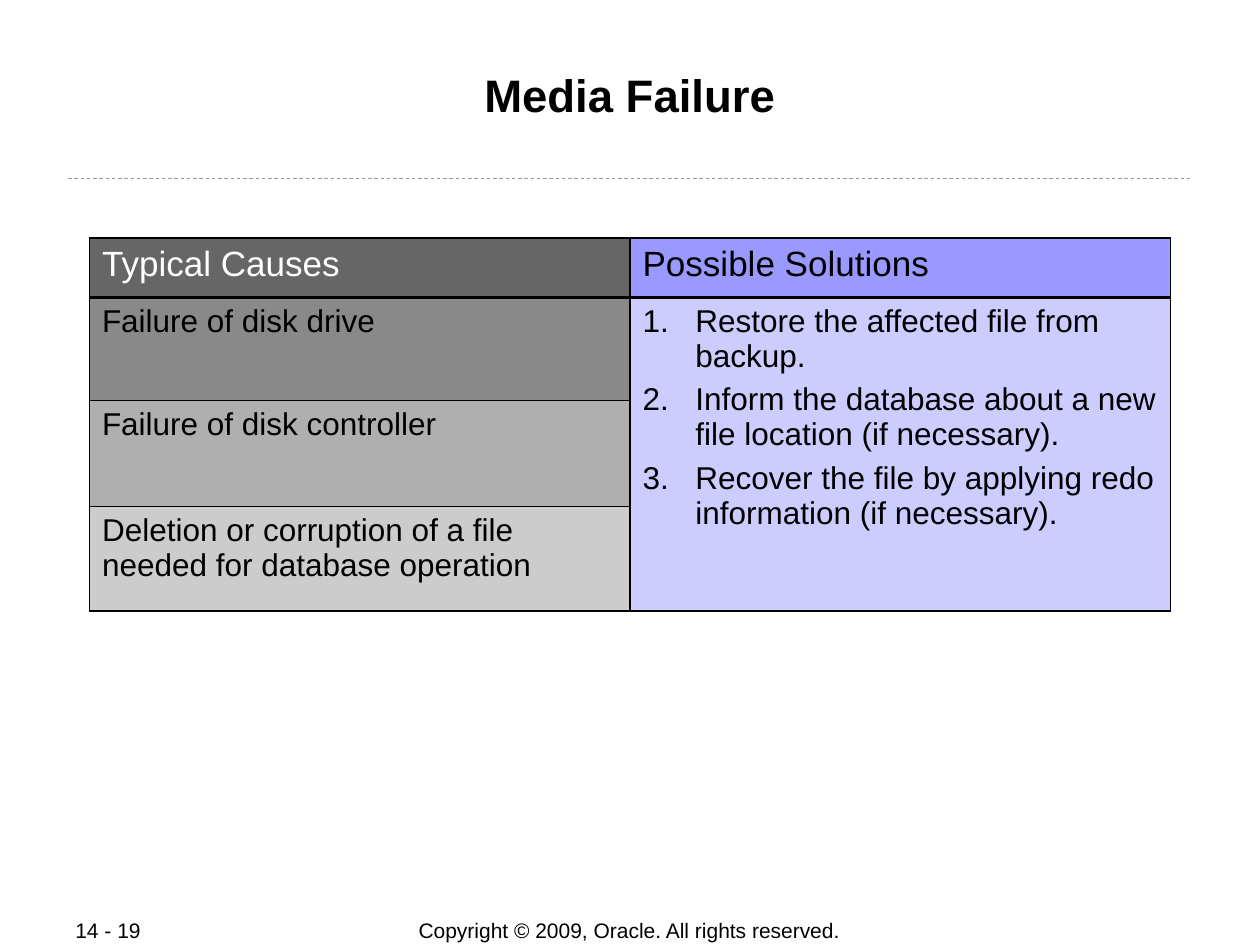
from lxml.etree import SubElement, Element
from pptx import Presentation
from pptx.dml.color import RGBColor
from pptx.enum.dml import MSO_LINE_DASH_STYLE as Dash
from pptx.enum.shapes import MSO_CONNECTOR as Connector
from pptx.enum.text import MSO_ANCHOR as Anchor, PP_ALIGN as Align
from pptx.oxml.ns import qn
from pptx.util import Pt

BLACK, WHITE, GREY = "000000", "FFFFFF", "999999"
THIN, THICK = 1.08, 2.21


def color(value):
    return RGBColor.from_string(value)


class SlideBuilder:
    font_name = "Arial"

    def __init__(self, slide):
        self.slide = slide

    def style(self, paragraph, size, fill=BLACK, bold=False):
        font = paragraph.font
        font.name, font.size, font.bold = self.font_name, Pt(size), bold
        font.color.rgb = color(fill)

    def text(self, box, content, size, align, bold=False, anchor=Anchor.MIDDLE, insets=(7.2, 0)):
        frame = self.slide.shapes.add_textbox(*map(Pt, box)).text_frame
        frame.word_wrap = True
        frame.vertical_anchor = anchor
        frame.margin_left = frame.margin_right = Pt(insets[0])
        frame.margin_top = frame.margin_bottom = Pt(insets[1])
        paragraph = frame.paragraphs[0]
        paragraph.text, paragraph.alignment = content, align
        self.style(paragraph, size, bold=bold)

    def dashed_rule(self, left, right, y):
        rule = self.slide.shapes.add_connector(
            Connector.STRAIGHT, Pt(left), Pt(y), Pt(right), Pt(y))
        rule.line.color.rgb = color(GREY)
        rule.line.width = Pt(0.5)
        rule.line.dash_style = Dash.DASH
        SubElement(rule._element.spPr, qn("a:effectLst"))

    def table(self, left, top, widths, heights):
        frame = self.slide.shapes.add_table(
            len(heights), len(widths), Pt(left), Pt(top), Pt(sum(widths)), Pt(sum(heights)))
        table = frame.table
        for column, width in zip(table.columns, widths):
            column.width = Pt(width)
        for row, height in zip(table.rows, heights):
            row.height = Pt(height)
        return table

    def borders(self, cell, top=THIN, bottom=THIN):
        sides = {"L": THIN, "R": THIN, "T": top, "B": bottom}
        properties = cell._tc.get_or_add_tcPr()
        for index, (side, width) in enumerate(sides.items()):
            line = Element(qn(f"a:ln{side}"), w=str(int(Pt(width))))
            fill = SubElement(line, qn("a:solidFill"))
            SubElement(fill, qn("a:srgbClr"), val=BLACK)
            properties.insert(index, line)

    def cell(self, cell, lines, size, fill, text_color=BLACK, hanging=0):
        cell.fill.solid()
        cell.fill.fore_color.rgb = color(fill)
        frame = cell.text_frame
        frame.text = "\n".join(lines)
        for index, paragraph in enumerate(frame.paragraphs):
            if hanging:
                properties = paragraph._p.get_or_add_pPr()
                properties.set("marL", str(int(Pt(hanging))))
                properties.set("indent", str(-int(Pt(hanging))))
            if index:
                paragraph.space_before = Pt(4.5)
            self.style(paragraph, size, text_color)


def main():
    presentation = Presentation()
    presentation.slide_width, presentation.slide_height = Pt(720), Pt(540)
    slide = presentation.slides.add_slide(presentation.slide_layouts[6])
    builder = SlideBuilder(slide)

    # Footer and rule
    builder.text((198, 524.2, 323.3, 15.1), "Copyright © 2009, Oracle. All rights reserved.",
                 12, Align.CENTER)
    builder.dashed_rule(38.9, 681.1, 102.2)
    builder.text((36, 524.2, 76.3, 14.4), "14 - 19", 12, Align.LEFT)

    # Title
    builder.text((48.2, 34.6, 623.5, 69.1), "Media Failure", 26, Align.CENTER,
                 bold=True, anchor=Anchor.TOP, insets=(0.7, 3.5))

    # Table frame and borders
    heights = [33.8, 59, 60.5, 59.8]
    table = builder.table(51.1, 136.1, [308.9, 308.9], heights)
    table.cell(1, 1).merge(table.cell(3, 1))
    for row in range(len(heights)):
        for column in range(2):
            builder.borders(table.cell(row, column),
                            top=THICK if row == 1 else THIN,
                            bottom=THICK if row == 0 else THIN)

    # Headings
    builder.cell(table.cell(0, 0), ["Typical Causes"], 20, "666666", WHITE)
    builder.cell(table.cell(0, 1), ["Possible Solutions"], 20, "9999FF")

    # Causes
    causes = [
        ("Failure of disk drive", "898989"),
        ("Failure of disk controller", "AFAFAF"),
        ("Deletion or corruption of a file needed for database operation", "CCCCCC"),
    ]
    for row, (cause, fill) in enumerate(causes, 1):
        builder.cell(table.cell(row, 0), [cause], 18, fill)

    # Numbered solutions
    solutions = [
        "Restore the affected file from backup.",
        "Inform the database about a new file location (if necessary).",
        "Recover the file by applying redo information (if necessary).",
    ]
    numbered = [f"{number}.\t{solution}" for number, solution in enumerate(solutions, 1)]
    builder.cell(table.cell(1, 1), numbered, 18, "CCCCFF", hanging=30.2)

    presentation.save("out.pptx")


if __name__ == "__main__":
    main()
